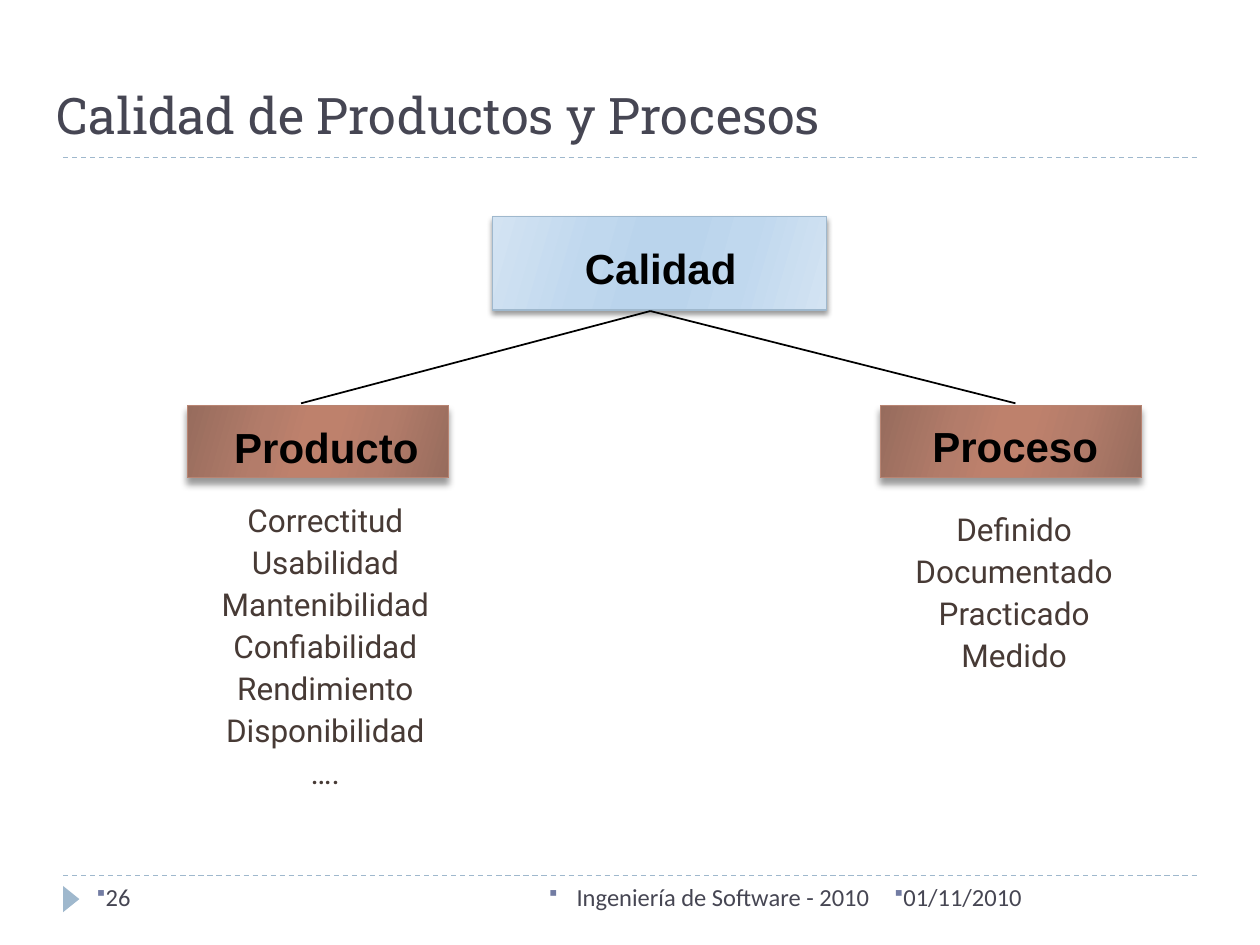
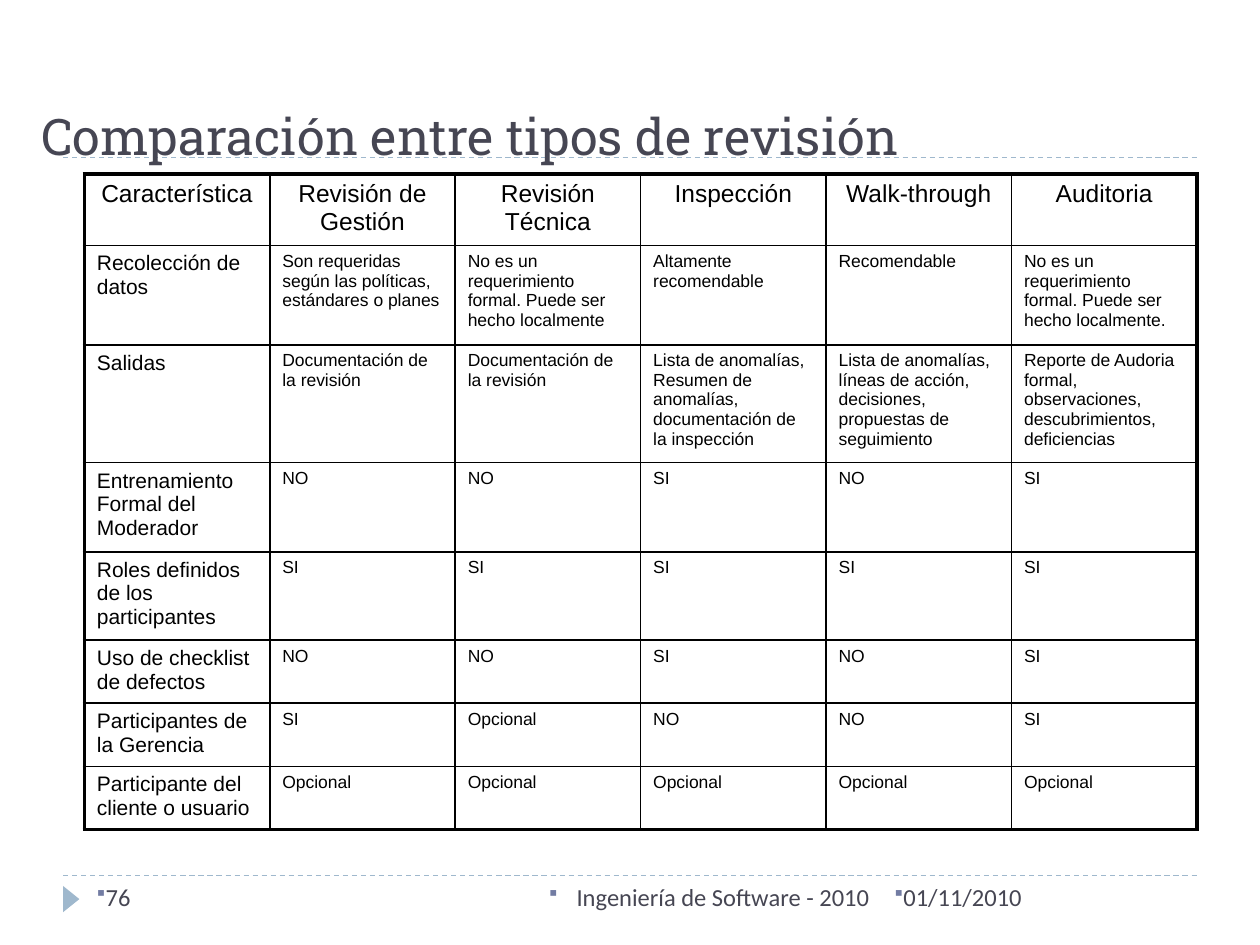
from dataclasses import dataclass

from lxml import etree
from pptx import Presentation
from pptx.dml.color import RGBColor
from pptx.enum import dml, shapes, text
from pptx.oxml import ns
from pptx.util import Cm, Pt


@dataclass(frozen=True)
class Theme:
    ink: str = "464653"
    body: str = "473A35"
    black: str = "000000"
    rule: str = "9FB8CD"
    mark: str = "727CA3"
    rust: str = "B88472"
    blues: tuple = ("D3E3F2", "C0D8EE", "BAD4EC")
    browns: tuple = ("976C5D", "B37C6A", "BE816C")
    head: float = 28.8
    label: int = 24
    list: int = 18
    foot: int = 14
    top: int = 14
    side: int = 12
    cell: int = 10


look = Theme()
left, mid, right = text.PP_ALIGN.LEFT, text.PP_ALIGN.CENTER, text.PP_ALIGN.RIGHT


def node(root, tag, **attrs):
    return etree.SubElement(root, ns.qn("a:" + tag), attrs)


def say(frame, lines, size, font, tint, align=left, bold=False, gap=0, lead=None):
    for i, line in enumerate(lines):
        para = frame.paragraphs[0] if i == 0 else frame.add_paragraph()
        para.alignment, para.line_spacing, para.space_before = align, lead, Pt(gap)
        run = para.add_run()
        run.text = line
        run.font.name, run.font.size, run.font.bold = font, Pt(size), bold
        run.font.color.rgb = RGBColor.from_string(tint)


deck = Presentation()
deck.slide_width, deck.slide_height = Cm(25.4), Cm(19.05)

pages = []
for title, x, y, num in [
    ("Calidad de Productos y Procesos", 0.89, 1.52, "26"),
    ("Comparación entre tipos de revisión", 0.58, 1.93, "76"),
]:
    page = deck.slides.add_slide(deck.slide_layouts[6])
    pages.append(page)
    for high in (17.65, 3.18):
        rule = page.shapes.add_connector(
            shapes.MSO_CONNECTOR.STRAIGHT, Cm(1.27), Cm(high), Cm(24.13), Cm(high))
        rule.line.color.rgb = RGBColor.from_string(look.rule)
        rule.line.width = Pt(0.75)
        rule.line.dash_style = dml.MSO_LINE.DASH
        node(rule._element.spPr, "effectLst")

    arrow = page.shapes.add_shape(
        shapes.MSO_SHAPE.ISOSCELES_TRIANGLE, Cm(1.17), Cm(17.96), Cm(0.53), Cm(0.33))
    arrow.rotation = 90
    arrow.shadow.inherit = False
    arrow.fill.solid()
    arrow.fill.fore_color.rgb = RGBColor.from_string(look.rule)
    arrow.line.fill.background()

    for note, start, wide, align, hang in [
        ("01/11/2010", 17.78, 6.35, left, 0),
        ("Ingeniería de Software - 2010", 8.05, 9.73, right, 0.56),
        (num, 1.7, 5.51, left, 0),
    ]:
        foot = page.shapes.add_textbox(Cm(start), Cm(17.65), Cm(wide), Cm(1.02)).text_frame
        foot.word_wrap = True
        say(foot, [note], look.foot, "Calibri", look.ink, align)
        props = foot.paragraphs[0]._p.get_or_add_pPr()
        props.set("marL", str(Cm(hang)))
        props.set("indent", str(-Cm(hang)))
        node(node(props, "buClr"), "srgbClr", val=look.mark)
        node(props, "buSzPct", val="80000")
        node(props, "buFont", typeface="Wingdings")
        node(props, "buChar", char="§")

    head = page.shapes.add_textbox(Cm(x), Cm(y), Cm(23.83), Cm(1.4)).text_frame
    head.word_wrap = True
    head.vertical_anchor = text.MSO_ANCHOR.BOTTOM
    head.margin_top = head.margin_bottom = 0
    say(head, [title], look.head, "Roboto Slab", look.ink)

tree, grid = pages

for x, y, wide, high, tones, edge, blur, drop in [
    (9.93, 4.37, 6.73, 1.88, look.blues, look.rule, 3, 2),
    (3.78, 8.18, 5.26, 1.45, look.browns, look.rust, 4, 3.4),
    (17.75, 8.18, 5.26, 1.45, look.browns, look.rust, 4, 3.4),
]:
    box = tree.shapes.add_shape(
        shapes.MSO_SHAPE.RECTANGLE, Cm(x), Cm(y), Cm(wide), Cm(high))
    box.fill.gradient()
    box.fill.gradient_angle = 344
    stops = box._element.spPr.find(".//" + ns.qn("a:gsLst"))
    for stop in list(stops):
        stops.remove(stop)
    for part, tone in zip((0, 30, 45, 55, 73, 100), tones + tones[::-1]):
        node(node(stops, "gs", pos=str(part * 1000)), "srgbClr", val=tone)
    box.line.color.rgb = RGBColor.from_string(edge)
    box.line.width = Pt(0.75)
    box.shadow.inherit = False
    cast = node(box._element.spPr.find(ns.qn("a:effectLst")), "outerShdw",
                blurRad=str(Pt(blur)), dist=str(Pt(drop)), dir="5400000", rotWithShape="0")
    node(node(cast, "srgbClr", val=look.black), "alpha", val="40000")

for end in (6.07, 20.47):
    link = tree.shapes.add_connector(
        shapes.MSO_CONNECTOR.STRAIGHT, Cm(13.11), Cm(6.27), Cm(end), Cm(8.13))
    link.line.color.rgb = RGBColor.from_string(look.black)
    link.line.width = Pt(1)
    node(link._element.spPr, "effectLst")

for name, x, y, wide in [
    ("Calidad", 11.53, 4.72, 3.58),
    ("Producto", 4.37, 8.33, 4.42),
    ("Proceso", 18.52, 8.31, 3.89),
]:
    label = tree.shapes.add_textbox(Cm(x), Cm(y), Cm(wide), Cm(1.24)).text_frame
    label.word_wrap = False
    say(label, [name], look.label, "Arial", look.black, mid, bold=True, lead=1.05)

for x, y, wide, traits in [
    (3.18, 9.93, 6.76, ["Correctitud", "Usabilidad", "Mantenibilidad", "Confiabilidad",
                        "Rendimiento", "Disponibilidad", "…."]),
    (17.27, 10.11, 6.35, ["Definido", "Documentado", "Practicado", "Medido"]),
]:
    block = tree.shapes.add_textbox(Cm(x), Cm(y), Cm(wide), Cm(5.94)).text_frame
    block.word_wrap = True
    say(block, traits, look.list, "Roboto", look.body, mid, gap=1.4, lead=1.05)

rows = [
    (1.42, ["Característica", "Revisión de Gestión", "Revisión Técnica", "Inspección",
            "Walk-through", "Auditoria"]),
    (2, ["Recolección de datos",
         "Son requeridas según las políticas, estándares o planes",
         "No es un requerimiento formal. Puede ser hecho localmente",
         "Altamente recomendable",
         "Recomendable",
         "No es un requerimiento formal. Puede ser hecho localmente."]),
    (2, ["Salidas",
         "Documentación de la revisión",
         "Documentación de la revisión",
         "Lista de anomalías, Resumen de anomalías, documentación de la inspección",
         "Lista de anomalías, líneas de acción, decisiones, propuestas de seguimiento",
         "Reporte de Audoria formal, observaciones, descubrimientos, deficiencias"]),
    (1.8, ["Entrenamiento Formal del Moderador", "NO", "NO", "SI", "NO", "SI"]),
    (1.63, ["Roles definidos de los participantes"] + ["SI"] * 5),
    (1.27, ["Uso de checklist de defectos", "NO", "NO", "SI", "NO", "SI"]),
    (1.27, ["Participantes de la Gerencia", "SI", "Opcional", "NO", "NO", "SI"]),
    (1.19, ["Participante del cliente o usuario"] + ["Opcional"] * 5),
]
last, end = len(rows) - 1, len(rows[0][1]) - 1
table = grid.shapes.add_table(
    last + 1, end + 1, Cm(1.7), Cm(3.51), Cm(22.43), Cm(12.58)).table
table.first_row = table.horz_banding = False
for col in table.columns:
    col.width = Cm(22.43 / (end + 1))
for r, (high, words) in enumerate(rows):
    table.rows[r].height = Cm(high)
    for c, word in enumerate(words):
        cell = table.cell(r, c)
        size = look.top if r == 0 else look.side if c == 0 else look.cell
        say(cell.text_frame, [word], size, "Arial", look.black,
            mid if r == 0 else left, gap=size * 0.05)
        props = cell._tc.get_or_add_tcPr()
        for tag, rim in [("lnL", c == 0), ("lnR", c == end),
                         ("lnT", r == 0), ("lnB", r == last)]:
            edge = node(props, tag, w=str(Pt(2.25 if rim else 1)))
            node(node(edge, "solidFill"), "srgbClr", val=look.black)
        cell.fill.background()

deck.save("out.pptx")
